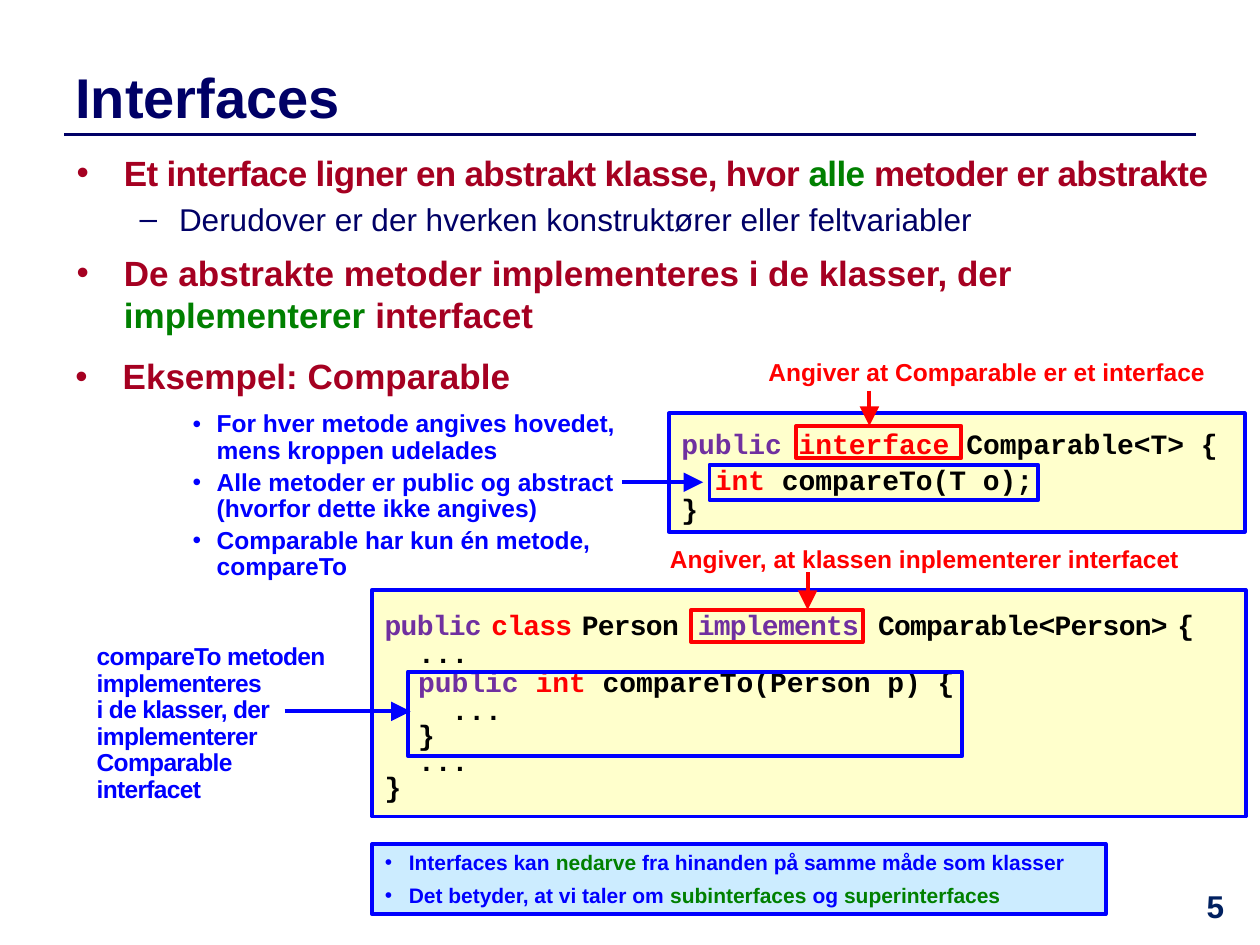
from lxml import etree
from pptx import Presentation
from pptx.dml.color import RGBColor
from pptx.enum import shapes, text
from pptx.oxml import ns
from pptx.util import Pt

COLORS = {
    "navy": "000066",
    "page": "002060",
    "crimson": "A50021",
    "green": "008000",
    "blue": "0000FF",
    "red": "FF0000",
    "purple": "7030A0",
    "black": "000000",
    "cream": "FFFFCC",
    "sky": "CCECFF",
}
CODE = {"size": 16, "font": "Courier New", "bold": True, "indent": 27}
NOTE = {"size": 14, "bold": True, "spacing": 0.9}
POINT = {"size": 20, "bold": True, "indent": 27, "bullet": "•"}
INSETS = (7.2, 3.6, 7.2, 3.6)


class SlideBuilder:
    def __init__(self, slide):
        self.slide = slide
        self.font = "Arial"
        self.line_width = 2.25

    def color(self, name):
        return RGBColor.from_string(COLORS[name])

    def paragraph(self, frame, runs, size, font=None, bold=False, indent=0, left=None,
                  bullet=None, spacing=None, before=0, tracking=0, align=None):
        first = len(frame.paragraphs) == 1 and not frame.paragraphs[0].runs
        paragraph = frame.paragraphs[0] if first else frame.add_paragraph()
        paragraph.alignment = align or text.PP_ALIGN.LEFT
        paragraph.space_before = Pt(0 if first else before)
        if spacing:
            paragraph.line_spacing = spacing
        properties = paragraph._p.get_or_add_pPr()
        if indent:
            properties.set("marL", str(Pt(left or indent)))
            properties.set("indent", str(-Pt(indent)))
        if bullet:
            etree.SubElement(properties, ns.qn("a:buFont")).set("typeface", self.font)
            etree.SubElement(properties, ns.qn("a:buChar")).set("char", bullet)
        for words, color, *own_size in runs:
            for number, part in enumerate(words.split("\n")):
                if number:
                    paragraph.add_line_break()
                run = paragraph.add_run()
                run.text = part
                run.font.name = font or self.font
                run.font.size = Pt(own_size[0] if own_size else size)
                run.font.bold = bold
                run.font.color.rgb = self.color(color)
                if tracking:
                    run._r.get_or_add_rPr().set("spc", str(round(tracking * 100)))

    def fill_text(self, shape, paragraphs, insets=INSETS, anchor=text.MSO_ANCHOR.TOP):
        frame = shape.text_frame
        frame.word_wrap = True
        frame.vertical_anchor = anchor
        frame.margin_left, frame.margin_top, frame.margin_right, frame.margin_bottom = map(Pt, insets)
        for runs, style in paragraphs:
            self.paragraph(frame, runs, **style)

    def text_box(self, box, paragraphs, **options):
        shape = self.slide.shapes.add_textbox(*map(Pt, box))
        self.fill_text(shape, paragraphs, **options)

    def rectangle(self, box, line, fill=None, paragraphs=(), **options):
        shape = self.slide.shapes.add_shape(shapes.MSO_SHAPE.RECTANGLE, *map(Pt, box))
        shape.shadow.inherit = False
        shape.line.color.rgb = self.color(line)
        shape.line.width = Pt(self.line_width)
        if fill:
            shape.fill.solid()
            shape.fill.fore_color.rgb = self.color(fill)
        else:
            shape.fill.background()
        if paragraphs:
            self.fill_text(shape, paragraphs, **options)

    def line(self, start, end, color, width=None, arrow=True):
        connector = self.slide.shapes.add_connector(
            shapes.MSO_CONNECTOR.STRAIGHT, *map(Pt, start + end))
        connector.line.color.rgb = self.color(color)
        connector.line.width = Pt(width or self.line_width)
        if arrow:
            outline = connector.line._get_or_add_ln()
            head = etree.SubElement(outline, ns.qn("a:tailEnd"))
            for key, value in (("type", "triangle"), ("w", "lg"), ("len", "lg")):
                head.set(key, value)
        etree.SubElement(connector._element.spPr, ns.qn("a:effectLst"))


def add_main_points(builder):
    builder.line((36.7, 77), (683.3, 77), "navy", width=2, arrow=False)
    builder.text_box((36, 28.1, 646.6, 54), [
        ([("Interfaces", "navy")], {"size": 32, "bold": True}),
    ], anchor=text.MSO_ANCHOR.MIDDLE)
    builder.text_box((36.7, 82.8, 668.9, 118), [
        ([("Et interface ligner en abstrakt klasse, hvor ", "crimson"), ("alle", "green"),
          (" metoder er abstrakte", "crimson")], {**POINT, "tracking": -0.4}),
        ([("Derudover er der hverken konstruktører eller feltvariabler", "navy")],
         {"size": 18, "left": 58.5, "indent": 22.5, "bullet": "–", "before": 4}),
        ([("De abstrakte metoder implementeres i de klasser, der ", "crimson"),
          ("implementerer", "green"), (" interfacet", "crimson")], {**POINT, "before": 8}),
    ])
    builder.text_box((36, 202, 363.6, 28), [
        ([("Eksempel: Comparable", "crimson")], {**POINT, "spacing": 0.9}),
    ])


def add_interface_example(builder):
    tight = {**CODE, "spacing": 0.7}
    builder.rectangle((382.3, 236.2, 329, 67.7), "blue", "cream", [
        ([("public ", "purple"), ("interface ", "red"), ("Comparable<T> {", "black"),
          (" ", "black", 24)], tight),
        ([("  int ", "red"), ("compareTo(T o);", "black")], {**tight, "before": 6}),
        ([("}", "black")], {**tight, "before": 3.2}),
    ], insets=(7.2, 7.2, 7.2, 3.6))
    builder.text_box((432, 202.3, 269.3, 22.3), [
        ([("Angiver at Comparable er et interface", "red")], NOTE),
    ])
    builder.line((496.8, 223.2), (496.8, 243.4), "red")
    builder.rectangle((455, 243.4, 94.3, 18.4), "red")
    builder.line((355.7, 275.6), (401.8, 275.6), "blue")
    builder.rectangle((405.4, 265.7, 187.9, 20), "blue")
    remarks = (
        "For hver metode angives hovedet, mens kroppen udelades",
        "Alle metoder er public og abstract (hvorfor dette ikke angives)",
        "Comparable har kun én metode, compareTo",
    )
    remark_style = {**NOTE, "indent": 13.7, "bullet": "•", "before": 3}
    builder.text_box((103, 231.8, 277.2, 105), [
        ([(remark, "blue")], remark_style) for remark in remarks
    ])


def add_class_example(builder):
    tight = {**CODE, "spacing": 0.6, "before": 3.2}
    narrow, wide = (" ", "black", 9), (" ", "black", 18)
    header = [("public", "purple"), narrow, ("class", "red"), narrow, ("Person", "black"), wide,
              ("implements", "purple"), wide, ("Comparable<Person>", "black"), narrow, ("{", "black")]
    method = [("  public ", "purple"), ("int ", "red"), ("compareTo(Person p) {", "black")]
    builder.rectangle((212.8, 337, 499, 129.6), "blue", "cream", [
        (header, {**CODE, "tracking": -0.4}),
        ([("  ...", "black")], tight),
        (method, {**CODE, "spacing": 0.8, "before": 2}),
        *(([(code, "black")], tight) for code in ("    ...", "  }", "  ...", "}")),
    ], insets=(7.2, 8.4, 7.2, 3.6))
    builder.rectangle((395, 348.5, 98, 18.4), "red")
    builder.text_box((375.8, 309.1, 321.1, 22.3), [
        ([("Angiver, at klassen inplementerer interfacet", "red")], NOTE),
    ])
    builder.line((461.5, 326.9), (461.5, 348.5), "red")
    builder.line((162.7, 406.5), (234.7, 406.5), "blue")
    builder.text_box((48.2, 364.8, 154, 83.5), [
        ([("compareTo metoden implementeres\ni de klasser, der implementerer Comparable interfacet",
           "blue")], {**NOTE, "tracking": -0.4}),
    ])
    builder.rectangle((233.1, 383.8, 316.8, 48.2), "blue")


def add_summary(builder):
    style = {"size": 12, "bold": True, "indent": 13.7, "bullet": "•", "before": 4}
    builder.rectangle((212.8, 482.2, 419, 40.3), "blue", "sky", [
        ([("Interfaces kan ", "blue"), ("nedarve", "green"),
          (" fra hinanden på samme måde som klasser", "blue")], style),
        ([("Det betyder, at vi taler om ", "blue"), ("subinterfaces ", "green"),
          ("og ", "blue"), ("superinterfaces", "green")], style),
    ])
    builder.text_box((668.9, 503.3, 51.1, 36), [
        ([("5", "page")], {"size": 18, "bold": True, "align": text.PP_ALIGN.CENTER}),
    ])


def main():
    presentation = Presentation()
    presentation.slide_width, presentation.slide_height = Pt(720), Pt(540)
    builder = SlideBuilder(presentation.slides.add_slide(presentation.slide_layouts[6]))
    add_main_points(builder)
    add_interface_example(builder)
    add_class_example(builder)
    add_summary(builder)
    presentation.save("out.pptx")


if __name__ == "__main__":
    main()
